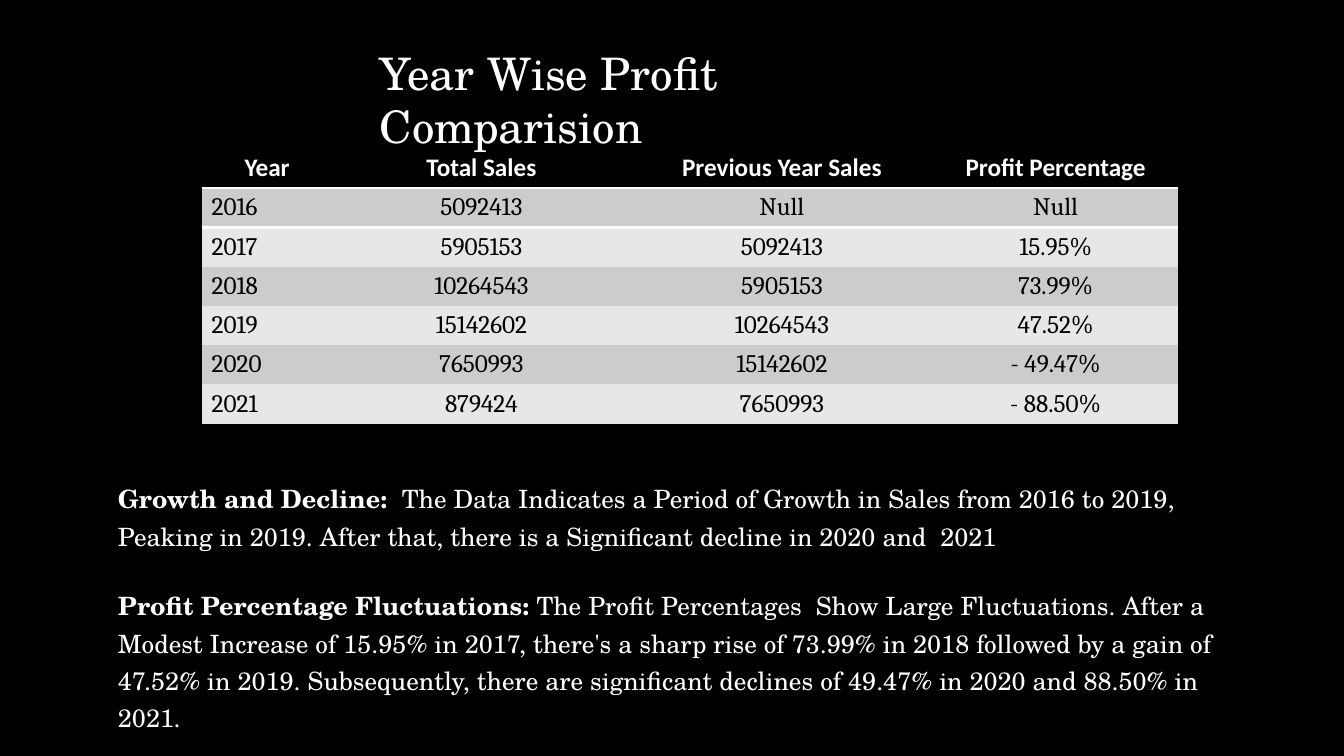
from dataclasses import dataclass

from lxml.etree import SubElement
from pptx import Presentation
from pptx.dml.color import RGBColor as RGB
from pptx.enum.text import PP_ALIGN as Align
from pptx.oxml.ns import qn
from pptx.util import Inches, Pt


@dataclass(frozen=True)
class Theme:
    back: str = "000000"
    light: str = "FFFFFF"
    dark: str = "000000"
    bands: tuple = ("CCCCCC", "E7E7E7")
    serif: str = "TeX Gyre Schola"
    head: str = "Calibri"
    body: str = "Cambria"
    title: int = 32
    text: int = 18
    rule: int = 2
    plain: str = "{2D5ABB26-0587-4C30-8999-92F81FD0307C}"


THEME = Theme()

SALES = [
    ("Year", "Total Sales", "Previous Year Sales", "Profit Percentage"),
    ("2016", "5092413", "Null", "Null"),
    ("2017", "5905153", "5092413", "15.95%"),
    ("2018", "10264543", "5905153", "73.99%"),
    ("2019", "15142602", "10264543", "47.52%"),
    ("2020", "7650993", "15142602", "- 49.47%"),
    ("2021", "879424", "7650993", "- 88.50%"),
]
WIDTHS = (1.3, 2.95, 3.01, 2.42)

NOTES = [
    ("Growth and Decline:  ",
     "The Data Indicates a Period of Growth in Sales from 2016 to 2019, "
     "Peaking in 2019. After that, there is a Significant decline in 2020 "
     "and  2021"),
    ("Profit Percentage Fluctuations: ",
     "The Profit Percentages  Show Large Fluctuations. After a Modest "
     "Increase of 15.95% in 2017, there's a sharp rise of 73.99% in 2018 "
     "followed by a gain of 47.52% in 2019. Subsequently, there are "
     "significant declines of 49.47% in 2020 and 88.50% in 2021."),
]


def add_run(para, text, color, **form):
    run = para.add_run()
    run.text = text
    for key, value in form.items():
        setattr(run.font, key, value)
    run.font.color.rgb = RGB.from_string(color)


def add_grid(slide, rows, cols, box):
    """Add a table with no style, lines or bands."""
    frame = slide.shapes.add_table(rows, cols, *map(Inches, box))
    table = frame.table
    table.first_row = table.horz_banding = False
    style = frame._element.find(".//" + qn("a:tableStyleId"))
    style.text = THEME.plain
    return table


def add_rule(cell, side):
    line = SubElement(cell._tc.get_or_add_tcPr(), qn(side),
                      w=str(Pt(THEME.rule)))
    fill = SubElement(line, qn("a:solidFill"))
    SubElement(fill, qn("a:srgbClr"), val=THEME.light)


def add_title(slide, box):
    frame = slide.shapes.add_textbox(*map(Inches, box)).text_frame
    frame.word_wrap = True
    add_run(frame.paragraphs[0], "Year Wise Profit Comparision", THEME.light,
            name=THEME.serif, size=Pt(THEME.title))


def add_sales(slide, box):
    table = add_grid(slide, len(SALES), len(WIDTHS), box)
    for col, width in zip(table.columns, WIDTHS):
        col.width = Inches(width)
    for r, row in enumerate(SALES):
        top = r == 0
        fill = THEME.back if top else THEME.bands[(r - 1) % 2]
        for c, text in enumerate(row):
            cell = table.cell(r, c)
            if r < 2:
                add_rule(cell, "a:lnB" if top else "a:lnT")
            cell.fill.solid()
            cell.fill.fore_color.rgb = RGB.from_string(fill)
            para = cell.text_frame.paragraphs[0]
            para.alignment = Align.CENTER if top or c else Align.LEFT
            add_run(para, text, THEME.light if top else THEME.dark,
                    name=THEME.head if top else THEME.body,
                    size=Pt(THEME.text), bold=top)


def add_notes(slide, box):
    cell = add_grid(slide, 1, 1, box).cell(0, 0)
    cell.margin_top = Inches(0.35)
    frame = cell.text_frame
    for i, parts in enumerate(NOTES):
        para = frame.add_paragraph() if i else frame.paragraphs[0]
        if i:
            para.space_before = Pt(22.5)
        for text, bold in zip(parts, (True, False)):
            add_run(para, text, THEME.light, name=THEME.serif,
                    size=Pt(THEME.text), bold=bold)


def main():
    deck = Presentation()
    deck.slide_width, deck.slide_height = Inches(13.33), Inches(7.5)
    slide = deck.slides.add_slide(deck.slide_layouts[6])
    fill = slide.background.fill
    fill.solid()
    fill.fore_color.rgb = RGB.from_string(THEME.back)
    add_sales(slide, (2, 1.46, 9.68, 2.73))
    add_title(slide, (3.67, 0.4, 6.1, 0.64))
    add_notes(slide, (1.07, 4.4, 11.6, 2.55))
    deck.save("out.pptx")


if __name__ == "__main__":
    main()
